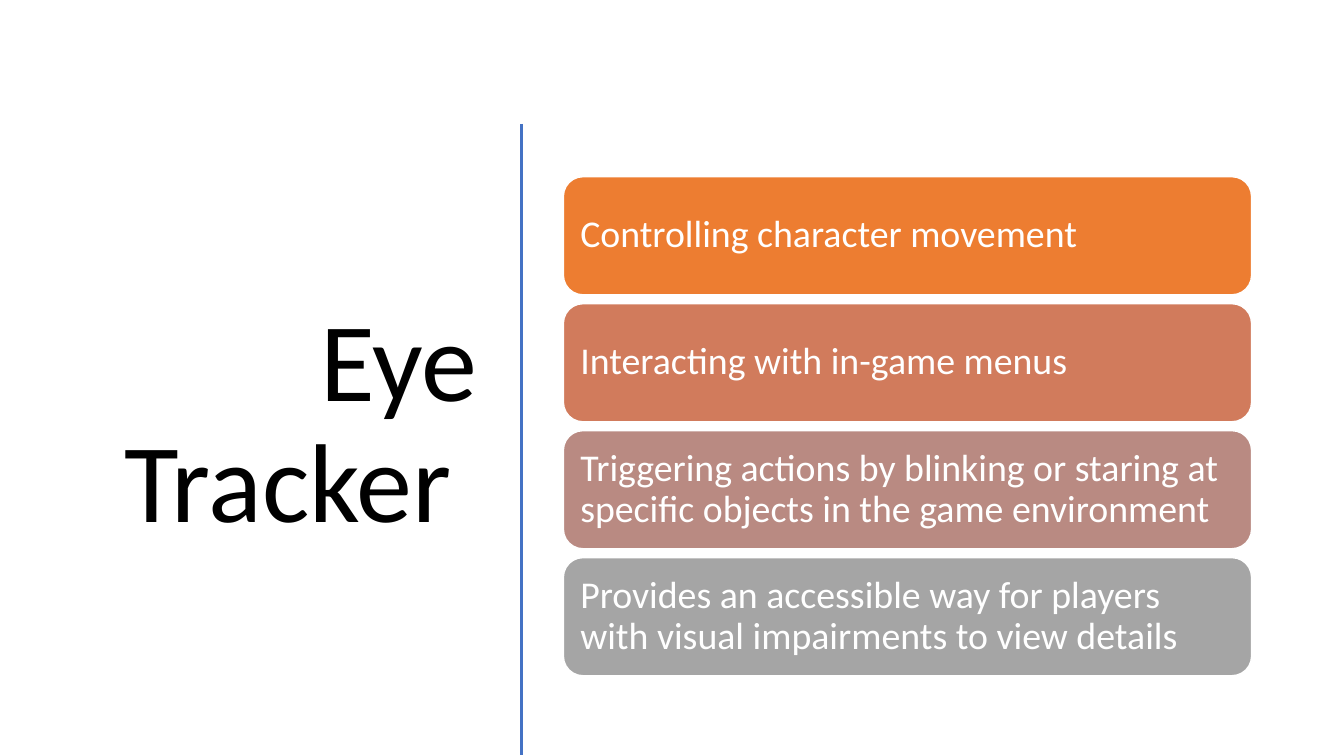
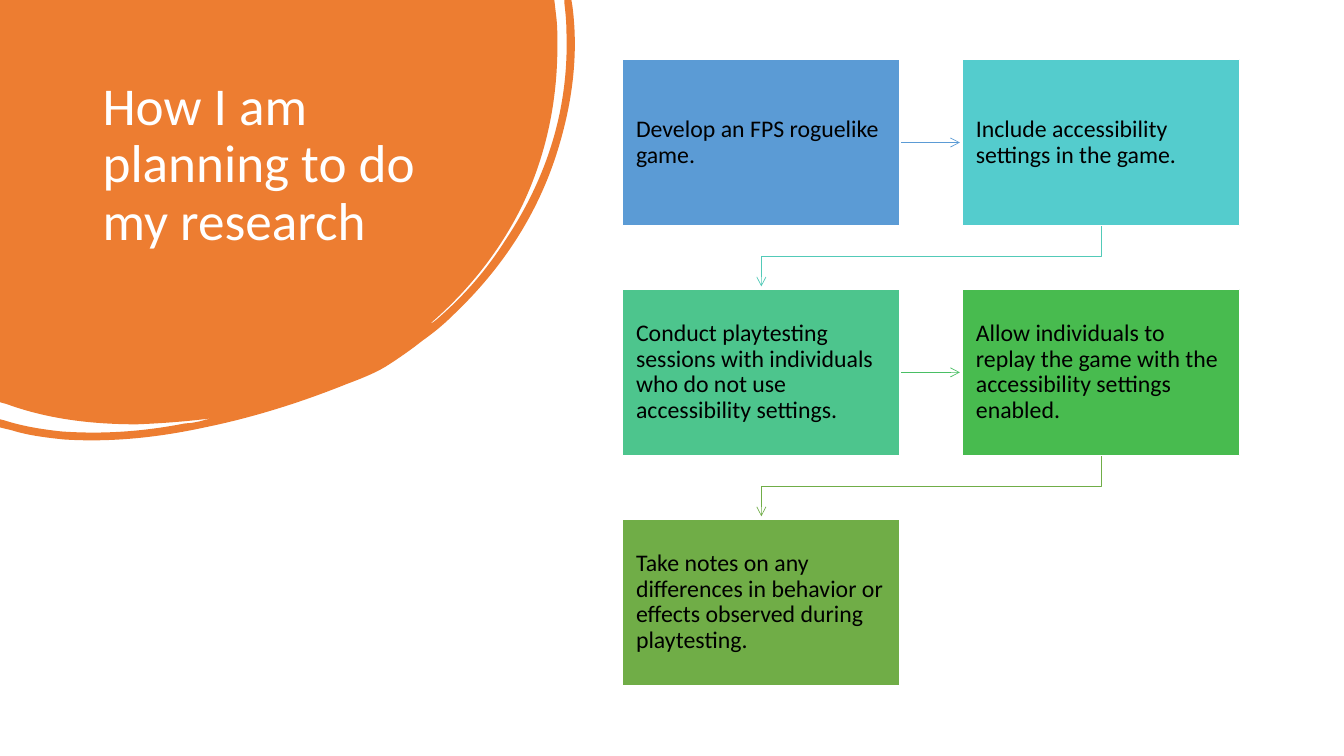
"""Build two slides on eye tracking and the research plan."""

from dataclasses import dataclass
from typing import NamedTuple

from lxml import etree
from pptx import Presentation
from pptx.dml.color import RGBColor
from pptx.enum.shapes import MSO_CONNECTOR, MSO_SHAPE
from pptx.enum.text import MSO_ANCHOR, PP_ALIGN
from pptx.oxml.ns import qn
from pptx.util import Pt

STRAIGHT, ELBOW = MSO_CONNECTOR.STRAIGHT, MSO_CONNECTOR.ELBOW
RECTANGLE, ROUNDED = MSO_SHAPE.RECTANGLE, MSO_SHAPE.ROUNDED_RECTANGLE
TOP, MIDDLE = MSO_ANCHOR.TOP, MSO_ANCHOR.MIDDLE
LEFT, RIGHT = PP_ALIGN.LEFT, PP_ALIGN.RIGHT


@dataclass(frozen=True)
class Theme:
    font: str = "Calibri"
    white: str = "FFFFFF"
    black: str = "000000"
    accent: str = "ED7D31"
    divider: str = "4472C4"
    hero_size: float = 80
    title_size: float = 38
    card_size: float = 27
    step_size: float = 17
    line_spacing: float = 0.9


class Box(NamedTuple):
    left: float
    top: float
    width: float
    height: float

    @property
    def center_x(self) -> float:
        return self.left + self.width / 2

    @property
    def center_y(self) -> float:
        return self.top + self.height / 2


class Panel(NamedTuple):
    text: str
    fill: str


class Step(NamedTuple):
    panel: Panel
    arrow: str = ""


THEME = Theme()

USES = [
    Panel("Controlling character movement", THEME.accent),
    Panel("Interacting with in-game menus", "D17B5C"),
    Panel("Triggering actions by blinking or staring at specific objects in the game environment", "B98A82"),
    Panel("Provides an accessible way for players with visual impairments to view details", "A5A5A5"),
]

STEPS = [
    Step(Panel("Develop an FPS roguelike game.", "5B9BD5"), "5B9BD5"),
    Step(Panel("Include accessibility settings in the game.", "54CCCD"), "52CAB8"),
    Step(Panel("Conduct playtesting sessions with individuals who do not use accessibility settings.", "4DC58D"), "49BF64"),
    Step(Panel("Allow individuals to replay the game with the accessibility settings enabled.", "48BB4F"), "70AD47"),
    Step(Panel("Take notes on any differences in behavior or effects observed during playtesting.", "70AD47")),
]

BLOB_OUTLINE = [
    (0, 0),
    (396, 0),
    (397.4, 12.2),
    (398.2, 18.7, 398.2, 25.9, 398.2, 32.4),
    (398.2, 72.7, 390.2, 110.9, 373, 146.9),
    (357.1, 179.3, 334.8, 207.4, 307.4, 231.1),
    (308.9, 231.1, 309.6, 229.7, 311, 229),
    (330.5, 212.4, 347, 193.7, 360.7, 172.1),
    (391, 126.7, 406.8, 77, 404.6, 21.6),
    (404.6, 15.1, 403.9, 8.6, 403.2, 2.2),
    (403.2, 0),
    (408.2, 0),
    (409, 5),
    (413.3, 38.9, 409, 73.4, 398.2, 108),
    (383.8, 154.1, 357.8, 193, 322.6, 226.1),
    (316.1, 232.6, 308.9, 238.3, 301.7, 243.4),
    (294.5, 249.1, 287.3, 254.2, 278.6, 259.9),
    (270, 265.7, 259.2, 270, 247.7, 274.3),
    (215.3, 287.3, 181.4, 298.1, 146.2, 305.3),
    (113, 312.5, 79.2, 316.1, 45.4, 313.9),
    (32.4, 312.5, 20.2, 311, 8.6, 307.4),
    (0, 305.3),
    (0, 299.5),
    (2.9, 300.2),
    (16.6, 304.6, 30.2, 306.7, 43.9, 308.2),
    (74.2, 310.3, 103, 308.2, 132.5, 302.4),
    (136.1, 302.4, 139, 301.7, 142.6, 301),
    (145.4, 300.2, 148.3, 299.5, 151.2, 298.8),
    (133.9, 301, 115.9, 302.4, 97.9, 303.1),
    (66.2, 303.1, 34.6, 299.5, 5, 288.7),
    (0, 287.3),
]


def rgb(colour: str) -> RGBColor:
    return RGBColor.from_string(colour)


def write(frame, text: str, *, size: float, colour: str, align=LEFT,
          anchor=MIDDLE, inset: tuple[float, float] = (7.2, 3.6)) -> None:
    frame.word_wrap = True
    frame.vertical_anchor = anchor
    frame.margin_left = frame.margin_right = Pt(inset[0])
    frame.margin_top = frame.margin_bottom = Pt(inset[1])
    paragraph = frame.paragraphs[0]
    paragraph.alignment = align
    paragraph.line_spacing = THEME.line_spacing
    run = paragraph.add_run()
    run.text = text
    run.font.name = THEME.font
    run.font.size = Pt(size)
    run.font.color.rgb = rgb(colour)


def add_title(slide, text: str, box: Box, **text_format) -> None:
    title = slide.shapes.add_textbox(*map(Pt, box))
    write(title.text_frame, text, **text_format)


def add_panel(slide, panel: Panel, outline, box: Box, **text_format) -> None:
    shape = slide.shapes.add_shape(outline, *map(Pt, box))
    shape.shadow.inherit = False
    shape.fill.solid()
    shape.fill.fore_color.rgb = rgb(panel.fill)
    shape.line.color.rgb = rgb(THEME.white)
    shape.line.width = Pt(1)
    write(shape.text_frame, panel.text, **text_format)


def add_line(slide, kind, start: tuple[float, float], end: tuple[float, float],
             colour: str, width: float, arrow: bool = False):
    connector = slide.shapes.add_connector(kind, *map(Pt, (*start, *end)))
    connector.line.color.rgb = rgb(colour)
    connector.line.width = Pt(width)
    properties = connector._element.spPr
    if arrow:
        etree.SubElement(properties.find(qn("a:ln")), qn("a:tailEnd"), type="arrow")
    etree.SubElement(properties, qn("a:effectLst"))
    return connector


def add_flow_arrow(slide, source: Box, target: Box, colour: str) -> None:
    clearance = 2
    if source.top == target.top:
        add_line(slide, STRAIGHT, (source.left + source.width, source.center_y),
                 (target.left - clearance, target.center_y), colour, 0.5, arrow=True)
        return
    top, bottom = source.top + source.height, target.top - clearance
    middle_x, middle_y = (source.center_x + target.center_x) / 2, (top + bottom) / 2
    half_drop, half_run = (bottom - top) / 2, (source.center_x - target.center_x) / 2
    elbow = add_line(slide, ELBOW, (middle_x - half_drop, middle_y - half_run),
                     (middle_x + half_drop, middle_y + half_run), colour, 0.5, arrow=True)
    elbow._element.spPr.find(qn("a:xfrm")).set("rot", "5400000")


def bend(shape, outline: list[tuple[float, ...]]) -> None:
    """Turn each run of three control points into one cubic curve."""
    lines = iter(list(shape._element.iter(qn("a:lnTo"))))
    for segment in outline[1:]:
        first = next(lines)
        if len(segment) == 6:
            first.tag = qn("a:cubicBezTo")
            for _ in range(2):
                control = next(lines)
                first.append(control[0])
                control.getparent().remove(control)


def add_blob(slide) -> None:
    units = 100
    points = [(round(x * units), round(y * units)) for segment in BLOB_OUTLINE
              for x, y in zip(segment[::2], segment[1::2])]
    builder = slide.shapes.build_freeform(*points[0], scale=Pt(1) / units)
    builder.add_line_segments(points[1:], close=True)
    blob = builder.convert_to_shape()
    blob.shadow.inherit = False
    blob.fill.solid()
    blob.fill.fore_color.rgb = rgb(THEME.accent)
    blob.line.fill.background()
    extra = len(list(blob._element.iter(qn("a:lnTo")))) - len(points) + 1
    bend(blob, BLOB_OUTLINE + [(0, 0)] * extra)


def build_eye_tracker(slide) -> None:
    add_title(slide, "Eye Tracker ", Box(37.5, 84, 310.5, 440),
              size=THEME.hero_size, colour=THEME.black, align=RIGHT)
    add_line(slide, STRAIGHT, (372.5, 88.5), (372.5, 539.5), THEME.divider, 2)
    for row, use in enumerate(USES):
        add_panel(slide, use, ROUNDED, Box(402.4, 126.2 + row * 90.7, 491.6, 84.4),
                  size=THEME.card_size, colour=THEME.white, inset=(8, 8))


def build_research_plan(slide) -> None:
    add_blob(slide)
    add_title(slide, "How I am planning to do my research", Box(66.2, 53.3, 253.5, 160),
              size=THEME.title_size, colour=THEME.white, anchor=TOP)
    boxes = [Box(444.8 + column * 242.8, 42.4 + row * 164.2, 198, 118.8)
             for row, column in (divmod(index, 2) for index in range(len(STEPS)))]
    for step, source, target in zip(STEPS, boxes, boxes[1:]):
        add_flow_arrow(slide, source, target, step.arrow)
    for step, box in zip(STEPS, boxes):
        add_panel(slide, step.panel, RECTANGLE, box, size=THEME.step_size,
                  colour=THEME.black, inset=(9.5, 10))


def main() -> None:
    deck = Presentation()
    deck.slide_width, deck.slide_height = Pt(960), Pt(540)
    blank = deck.slide_layouts[6]
    for build in (build_eye_tracker, build_research_plan):
        build(deck.slides.add_slide(blank))
    deck.save("out.pptx")


if __name__ == "__main__":
    main()
